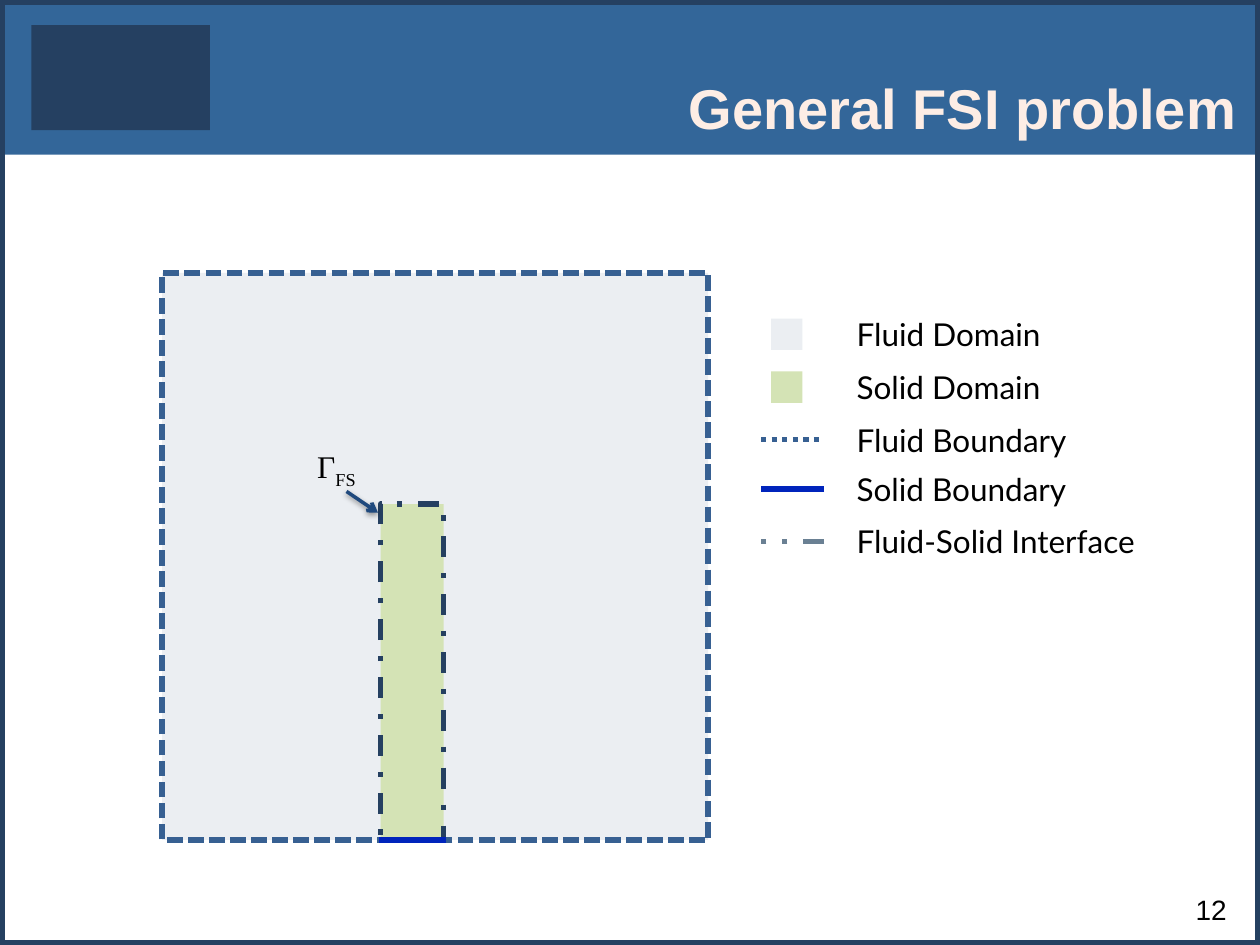
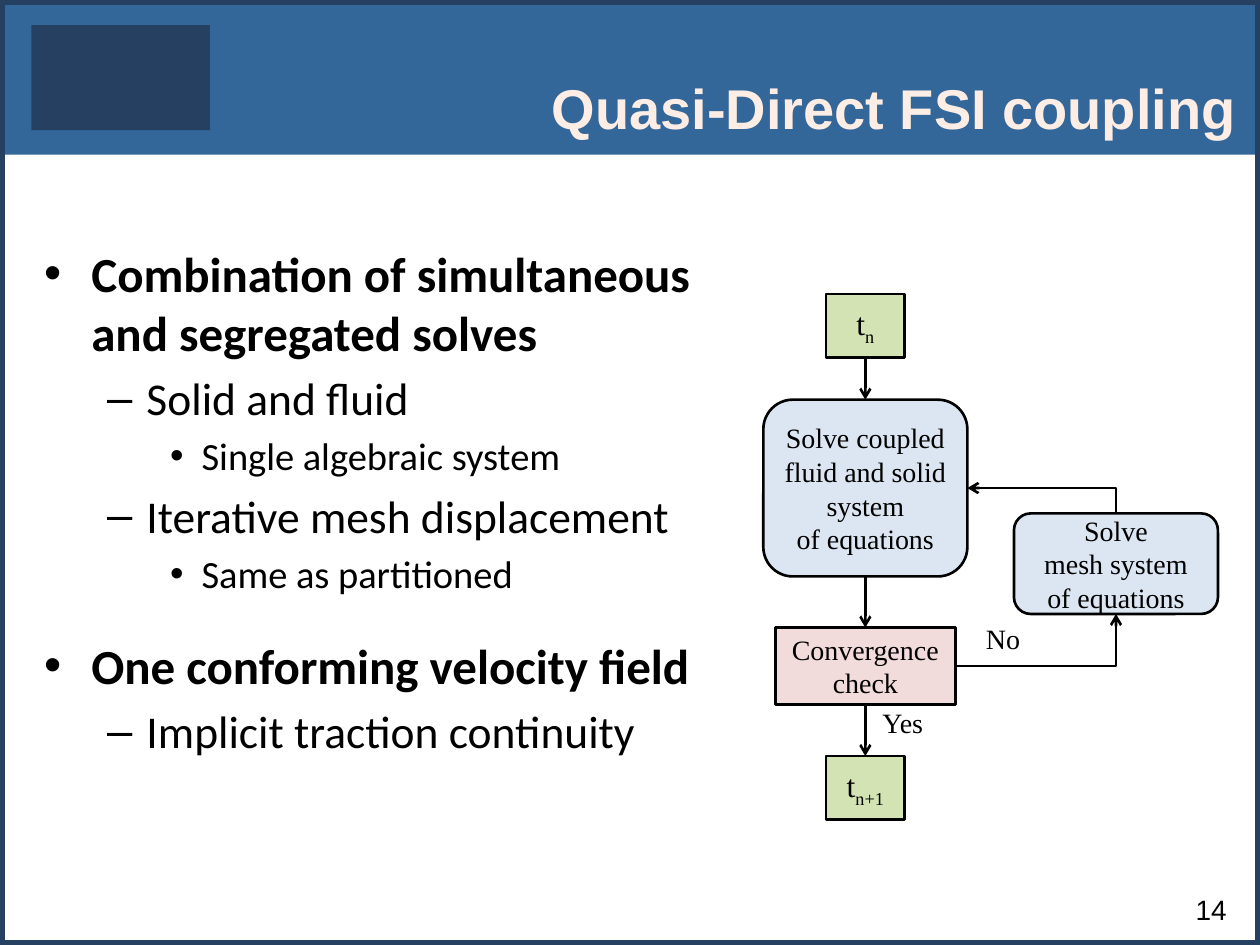
"""Build two slides on fluid-structure interaction: the general problem and quasi-direct coupling."""
from dataclasses import dataclass
from typing import Optional

from lxml.etree import SubElement
from pptx import Presentation
from pptx.dml.color import RGBColor
from pptx.enum.dml import MSO_LINE as Dash
from pptx.enum.shapes import MSO_CONNECTOR as Connector, MSO_SHAPE as Preset
from pptx.enum.text import MSO_ANCHOR as Anchor, PP_ALIGN as Align
from pptx.oxml.ns import qn
from pptx.util import Pt

COLOURS = {
    "band": "336699",
    "navy": "254061",
    "title": "FDEDE5",
    "black": "000000",
    "fluid": "EBEEF2",
    "solid": "D4E3B5",
    "fluid boundary": "376092",
    "solid boundary": "0024BC",
    "interface": "6A8093",
    "pointer": "1F497D",
    "time": "D4E3B4",
    "solve": "DCE6F2",
    "check": "F2DCDB",
}
SERIF = "Times New Roman"
TOP, BOTTOM, RIGHT = 0, 2, 3


@dataclass(frozen=True)
class LegendRow:
    label: str
    centre: float
    colour: str
    swatch: bool = False
    dash: Optional[Dash] = None
    reverse: bool = False


@dataclass(frozen=True)
class FlowBox:
    name: str
    box: tuple
    fill: str
    lines: tuple
    subscript: str = ""
    size: float = 16
    preset: Preset = Preset.RECTANGLE


@dataclass(frozen=True)
class FlowLink:
    start: str
    start_side: int
    finish: str
    finish_side: int
    bent: bool = False
    arrow: str = "tailEnd"


@dataclass(frozen=True)
class Bullet:
    text: str
    level: int = 0
    before: Optional[float] = None


LEGEND = (
    LegendRow("Fluid Domain", 191, "fluid", swatch=True),
    LegendRow("Solid Domain", 221.2, "solid", swatch=True),
    LegendRow("Fluid Boundary", 251.3, "fluid boundary", dash=Dash.ROUND_DOT),
    LegendRow("Solid Boundary", 279.4, "solid boundary", reverse=True),
    LegendRow("Fluid-Solid Interface", 309.4, "interface", dash=Dash.DASH_DOT, reverse=True),
)

BULLETS = (
    Bullet("Combination of simultaneous and segregated solves", before=0),
    Bullet("Solid and fluid", 1),
    Bullet("Single algebraic system", 2),
    Bullet("Iterative mesh displacement", 1),
    Bullet("Same as partitioned", 2),
    Bullet("One conforming velocity field", before=22.6),
    Bullet("Implicit traction continuity", 1),
)
BULLET_SIZES = (28, 26, 22)

FLOW_BOXES = (
    FlowBox("solve", (436.2, 228.4, 116.6, 101), "solve",
            ("Solve coupled", "fluid and solid system", "of equations"),
            preset=Preset.ROUNDED_RECTANGLE),
    FlowBox("check", (443, 358.6, 103, 44), "check", ("Convergence check",)),
    FlowBox("mesh", (579.4, 293.4, 116.6, 57.5), "solve",
            ("Solve", "mesh system", "of equations"), preset=Preset.ROUNDED_RECTANGLE),
    FlowBox("start", (472.1, 168, 44.8, 36.3), "time", ("t",), "n", 18),
    FlowBox("end", (472.1, 432, 44.8, 36.3), "time", ("t",), "n+1", 18),
)
FLOW_LINKS = (
    FlowLink("start", BOTTOM, "solve", TOP),
    FlowLink("solve", BOTTOM, "check", TOP),
    FlowLink("check", BOTTOM, "end", TOP),
    FlowLink("check", RIGHT, "mesh", BOTTOM, bent=True),
    FlowLink("solve", RIGHT, "mesh", TOP, bent=True, arrow="headEnd"),
)
FLOW_LABELS = (("No", (553, 351.4, 40.3, 26.6)), ("Yes", (491.8, 399.6, 48.2, 26.6)))


def rgb(name: str) -> RGBColor:
    return RGBColor.from_string(COLOURS[name])


def points(values: tuple) -> list:
    return [Pt(value) for value in values]


def write(frame, lines, *, size, font="Arial", colour="black", bold=False,
          align=Align.LEFT, anchor=Anchor.TOP, subscript=""):
    frame.word_wrap = True
    frame.vertical_anchor = anchor
    for index, line in enumerate(lines):
        paragraph = frame.add_paragraph() if index else frame.paragraphs[0]
        paragraph.alignment = align
        texts = [line] + ([subscript] if subscript else [])
        for position, text in enumerate(texts):
            run = paragraph.add_run()
            run.text = text
            run.font.size, run.font.name, run.font.bold = Pt(size), font, bold
            run.font.color.rgb = rgb(colour)
            if position:
                run.font._element.set("baseline", "-25000")


def add_text(shapes, box: tuple, lines, **text_format):
    text_box = shapes.add_textbox(*points(box))
    write(text_box.text_frame, lines, **text_format)


def add_box(shapes, box: tuple, fill=None, line=None, width=0.0, dash=None,
            preset=Preset.RECTANGLE):
    shape = shapes.add_shape(preset, *points(box))
    shape.shadow.inherit = False
    if fill:
        shape.fill.solid()
        shape.fill.fore_color.rgb = rgb(fill)
    else:
        shape.fill.background()
    if line:
        style_line(shape.line, line, width, dash)
    else:
        shape.line.fill.background()
    return shape


def style_line(line, colour: str, width: float, dash=None):
    line.color.rgb = rgb(colour)
    line.width = Pt(width)
    if dash:
        line.dash_style = dash


def add_line(shapes, ends: tuple, colour: str, width: float, dash=None, arrow=None):
    connector = shapes.add_connector(Connector.STRAIGHT, *points(ends))
    style_line(connector.line, colour, width, dash)
    properties = connector.element.spPr
    if arrow:
        SubElement(properties.find(qn("a:ln")), qn(f"a:{arrow}"), type="arrow")
    SubElement(properties, qn("a:effectLst"))
    return connector


def add_shadow(connector):
    effects = connector.element.spPr.find(qn("a:effectLst"))
    shadow = SubElement(effects, qn("a:outerShdw"), blurRad=str(Pt(3.1)), dist=str(Pt(1.6)),
                        dir="5400000", rotWithShape="0")
    colour = SubElement(shadow, qn("a:srgbClr"), val=COLOURS["black"])
    SubElement(colour, qn("a:alpha"), val="38000")


def place(placeholder, box: tuple):
    placeholder.left, placeholder.top, placeholder.width, placeholder.height = points(box)


def add_slide(presentation, layout: int, title: str, number: int):
    slide = presentation.slides.add_slide(presentation.slide_layouts[layout])
    shapes = slide.shapes
    placeholders = list(slide.placeholders)
    add_box(shapes, (0, 0, 720, 88.4), fill="band")
    add_box(shapes, (0, 0, 720, 540), line="navy", width=6)
    add_box(shapes, (18, 14.4, 102, 60), fill="navy")

    for placeholder in placeholders:
        shapes.element.append(placeholder.element)
    place(shapes.title, (120, 6, 594, 78))
    write(shapes.title.text_frame, (title,), size=32, colour="title", bold=True,
          align=Align.RIGHT, anchor=Anchor.BOTTOM)
    add_text(shapes, (648, 504, 60, 28.8), (str(number),), size=16,
             align=Align.RIGHT, anchor=Anchor.BOTTOM)
    return slide


def draw_problem(shapes):
    add_box(shapes, (92.6, 156, 312, 324), "fluid", "fluid boundary", 3, Dash.SQUARE_DOT)
    add_box(shapes, (217.5, 288, 36, 192), "solid", "navy", 3, Dash.DASH_DOT)
    add_line(shapes, (255, 480, 216.5, 480), "solid boundary", 3)
    for row in LEGEND:
        if row.swatch:
            add_box(shapes, (440.6, row.centre - 9, 18, 18), row.colour)
        else:
            start, finish = (471, 435) if row.reverse else (435, 471)
            add_line(shapes, (start, row.centre, finish, row.centre), row.colour, 3, row.dash)
        add_text(shapes, (482.4, row.centre - 14.4, 190, 28.8), (row.label,),
                 size=18, font="Lato")
    add_shadow(add_line(shapes, (198, 280.8, 216, 293), "pointer", 2, arrow="tailEnd"))
    add_text(shapes, (174.2, 252, 54, 28.8), ("Γ",), size=18, font=SERIF, subscript="FS")


def fill_bullets(body):
    place(body, (18, 135.4, 420, 350.6))
    frame = body.text_frame
    for index, bullet in enumerate(BULLETS):
        paragraph = frame.add_paragraph() if index else frame.paragraphs[0]
        paragraph.text, paragraph.level = bullet.text, bullet.level
        if bullet.before is not None:
            paragraph.space_before = Pt(bullet.before)
        font = paragraph.runs[0].font
        font.size, font.name = Pt(BULLET_SIZES[bullet.level]), "Calibri"
        font.bold = bullet.level == 0
        font.color.rgb = rgb("black")


def draw_flowchart(shapes):
    boxes = {}
    for item in FLOW_BOXES:
        shape = add_box(shapes, item.box, item.fill, "black", 1.5, preset=item.preset)
        write(shape.text_frame, item.lines, size=item.size, font=SERIF, align=Align.CENTER,
              anchor=Anchor.MIDDLE, subscript=item.subscript)
        boxes[item.name] = shape
    for link in FLOW_LINKS:
        connector = add_line(shapes, (0, 0, 0, 0), "black", 1.5, arrow=link.arrow)
        connector.begin_connect(boxes[link.start], link.start_side)
        connector.end_connect(boxes[link.finish], link.finish_side)
        if link.bent:
            connector.element.spPr.find(qn("a:prstGeom")).set("prst", "bentConnector2")
    for label, box in FLOW_LABELS:
        add_text(shapes, box, (label,), size=16, font=SERIF, align=Align.CENTER)


def main():
    presentation = Presentation()
    presentation.slide_width, presentation.slide_height = Pt(720), Pt(540)
    draw_problem(add_slide(presentation, 5, "General FSI problem", 12).shapes)
    coupling = add_slide(presentation, 1, "Quasi-Direct FSI coupling", 14)
    fill_bullets(coupling.placeholders[1])
    draw_flowchart(coupling.shapes.add_group_shape().shapes)
    presentation.save("out.pptx")


if __name__ == "__main__":
    main()
